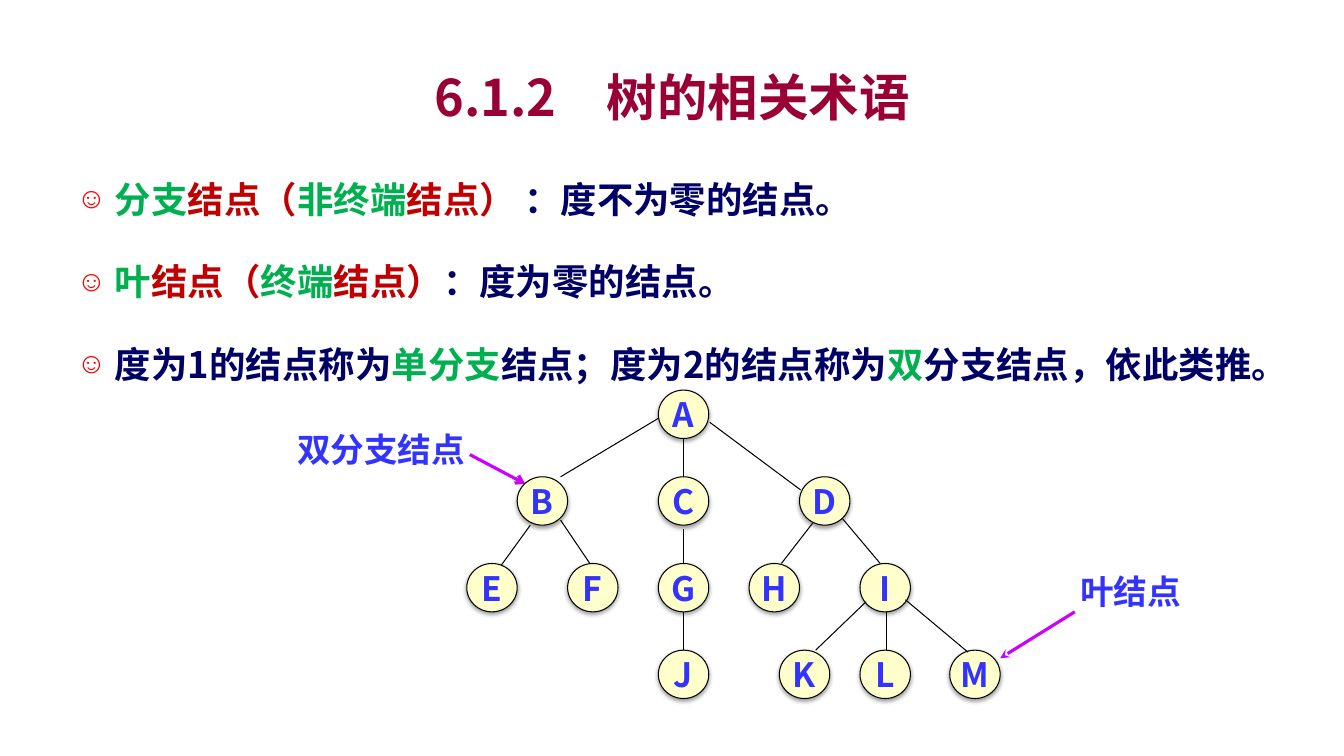
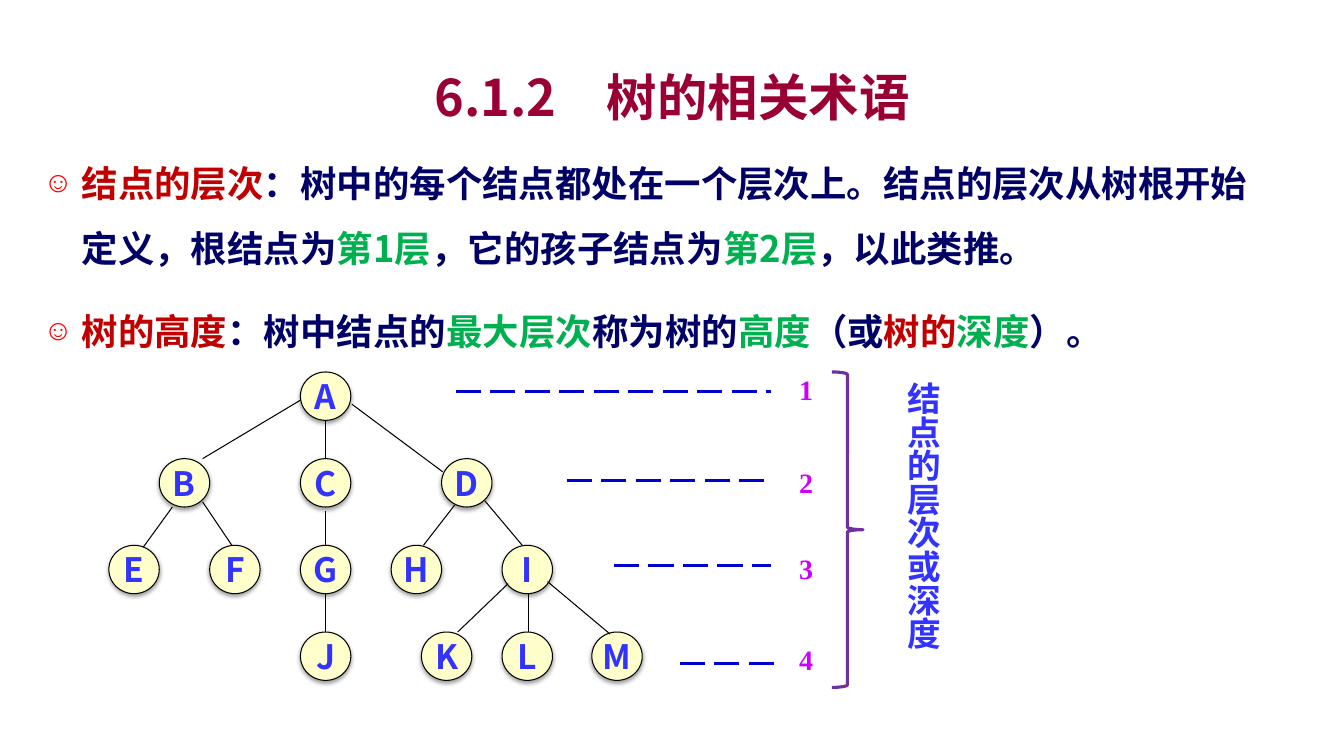
from lxml import etree
from pptx import Presentation
from pptx.dml.color import RGBColor
from pptx.enum import dml, shapes, text
from pptx.oxml import ns, parse_xml
from pptx.util import Inches, Pt

SANS, SERIF = "Noto Sans CJK SC", "Times New Roman"
GREEN, RED, NAVY, BLUE = "00B050", "C00000", "000066", "3333FF"
MAROON, MAGENTA, PURPLE = "990033", "CC00FF", "7030A0"
DASH_BLUE, CREAM, BLACK = "0000CC", "FFFFCC", "000000"
TITLE = "6.1.2　树的相关术语"

# Tree layout, measured from the root's top left corner
NODE_SIZE, ROW_STEP = (0.5, 0.48), 0.86
TREE_ROWS = [
    {"A": 0},
    {"B": -1.4, "C": 0, "D": 1.4},
    {"E": -1.9, "F": -0.9, "G": 0, "H": 0.9, "I": 2},
    {"J": 0, "K": 1.2, "L": 2, "M": 2.89},
]
TREE_EDGES = {
    "AB": (0, 0.28, -0.97, 0.86),
    "AC": (0.25, 0.48, 0.25, 0.86),
    "AD": (0.51, 0.32, 1.41, 0.99),
    "BE": (-1.27, 1.34, -1.56, 1.74),
    "BF": (-0.97, 1.29, -0.68, 1.72),
    "CG": (0.25, 1.38, 0.25, 1.72),
    "DH": (1.53, 1.32, 1.22, 1.72),
    "DI": (1.83, 1.28, 2.2, 1.72),
    "GJ": (0.25, 2.2, 0.25, 2.58),
    "IK": (2.06, 2.1, 1.56, 2.58),
    "IL": (2.26, 2.2, 2.26, 2.58),
    "IM": (2.45, 2.08, 3.07, 2.6),
}


def rgb(value):
    return RGBColor.from_string(value)


def apply(target, values):
    for name, value in values.items():
        setattr(target, name, value)


def add_xml(parent, tag, **attributes):
    return etree.SubElement(parent, ns.qn(tag), attributes)


class Slides:
    """Shared style and the slide being filled."""

    def __init__(self):
        self.deck = Presentation()
        apply(self.deck, {"slide_width": Inches(13.33), "slide_height": Inches(7.5)})
        self.page = None

    def place(self, shape, box):
        names = ("left", "top", "width", "height")
        apply(shape, {name: Inches(value) for name, value in zip(names, box)})

    def add_span(self, para, words, color, size, font=SANS):
        span = para.add_run()
        span.text = words
        apply(span.font, {"name": font, "size": Pt(size), "bold": True})
        span.font.color.rgb = rgb(color)
        add_xml(span.font._element, "a:ea", typeface=SANS)

    def outline(self, shape, color, width):
        shape.line.color.rgb = rgb(color)
        shape.line.width = Pt(width)

    def start(self, title):
        self.page = self.deck.slides.add_slide(self.deck.slide_layouts[1])
        heading = self.page.shapes.title
        self.place(heading, (1, 0.58, 11.33, 0.75))
        apply(heading.text_frame, {"auto_size": text.MSO_AUTO_SIZE.NONE,
                                   "vertical_anchor": text.MSO_ANCHOR.MIDDLE})
        para = heading.text_frame.paragraphs[0]
        para.alignment = text.PP_ALIGN.CENTER
        self.add_span(para, title, MAROON, 36)

    def bullets(self, box, items):
        body = self.page.placeholders[1]
        self.place(body, box)
        frame = body.text_frame
        frame.auto_size = text.MSO_AUTO_SIZE.NONE
        for index, item in enumerate(items):
            para = frame.add_paragraph() if index else frame.paragraphs[0]
            apply(para, {"line_spacing": 1.5, "space_before": Pt(6),
                         "space_after": Pt(6)})
            props = para._p.get_or_add_pPr()
            props.set("marL", str(Inches(0.38)))
            props.set("indent", str(-Inches(0.38)))
            add_xml(add_xml(props, "a:buClr"), "a:srgbClr", val="FF0000")
            add_xml(props, "a:buSzPct", val="80000")
            add_xml(props, "a:buChar", char="☺")
            for color, words in item:
                self.add_span(para, words, color, 26)

    def label(self, box, words, color=BLUE, size=24, font=SERIF, vertical=False):
        shape = self.page.shapes.add_textbox(*map(Inches, box))
        frame = shape.text_frame
        frame.word_wrap = True
        para = frame.paragraphs[0]
        if vertical:
            frame._txBody.bodyPr.set("vert", "eaVert")
        else:
            para.alignment = text.PP_ALIGN.CENTER
        self.add_span(para, words, color, size, font)

    def line(self, ends, color=BLACK, width=0.75, dash=None, arrow=None, parent=None):
        owner = parent or self.page
        link = owner.shapes.add_connector(
            shapes.MSO_CONNECTOR.STRAIGHT, *map(Inches, ends))
        self.outline(link, color, width)
        if dash:
            link.line.dash_style = dash
        if arrow:
            add_xml(link.line._get_or_add_ln(), "a:tailEnd", type=arrow)
        add_xml(link._element.spPr, "a:effectLst")

    def node(self, parent, left, top, name):
        circle = parent.shapes.add_shape(
            shapes.MSO_SHAPE.OVAL, *map(Inches, (left, top, *NODE_SIZE)))
        circle.fill.solid()
        circle.fill.fore_color.rgb = rgb(CREAM)
        self.outline(circle, BLACK, 0.75)
        circle._element.spPr.append(parse_xml(
            f'<a:effectLst {ns.nsdecls("a")}>'
            f'<a:outerShdw blurRad="{Pt(3.1)}" dist="{Pt(1.6)}" dir="5400000">'
            f'<a:srgbClr val="{BLACK}"><a:alpha val="38000"/></a:srgbClr>'
            '</a:outerShdw></a:effectLst>'))
        frame = circle.text_frame
        apply(frame, {"word_wrap": False, "vertical_anchor": text.MSO_ANCHOR.MIDDLE})
        frame.paragraphs[0].alignment = text.PP_ALIGN.CENTER
        self.add_span(frame.paragraphs[0], name, BLUE, 24)

    def tree(self, left, top):
        group = self.page.shapes.add_group_shape()
        for level, row in enumerate(TREE_ROWS):
            for name, offset in row.items():
                self.node(group, left + offset, top + level * ROW_STEP, name)
        for x1, y1, x2, y2 in TREE_EDGES.values():
            self.line((left + x1, top + y1, left + x2, top + y2), parent=group)

    def brace(self, box):
        shape = self.page.shapes.add_shape(
            shapes.MSO_SHAPE.RIGHT_BRACE, *map(Inches, box))
        shape.shadow.inherit = False
        shape.fill.background()
        self.outline(shape, PURPLE, 2.25)


def main():
    slides = Slides()

    # Branch and leaf nodes
    slides.start(TITLE)
    slides.bullets((0.66, 1.49, 12.26, 2.15), [
        [(GREEN, "分支"), (RED, "结点（"), (GREEN, "非终端"), (RED, "结点） "),
         (NAVY, "：度不为零的结点。")],
        [(GREEN, "叶"), (RED, "结点（"), (GREEN, "终端"), (RED, "结点）"),
         (NAVY, "：度为零的结点。")],
        [(NAVY, "度为1的结点称为"), (GREEN, "单分支"), (NAVY, "结点；度为2的结点称为"),
         (GREEN, "双"), (NAVY, "分支结点，依此类推。")],
    ])
    slides.label((2.52, 4.21, 2.52, 0.5), "双分支结点")
    slides.label((10.38, 5.61, 1.67, 0.5), "叶结点")
    slides.line((4.66, 4.51, 5.21, 4.8), MAGENTA, 2.25, arrow="arrow")
    slides.line((10.66, 6.07, 9.92, 6.53), MAGENTA, 2.25, arrow="stealth")
    slides.tree(6.53, 3.87)

    # Levels and height
    slides.start(TITLE)
    slides.bullets((0.33, 1.33, 12.33, 2.42), [
        [(RED, "结点的层次"),
         (NAVY, "：树中的每个结点都处在一个层次上。结点的层次从树根开始定义，根结点为"),
         (GREEN, "第1层"), (NAVY, "，它的孩子结点为"), (GREEN, "第2层"),
         (NAVY, "，以此类推。")],
        [(RED, "树的高度"), (NAVY, "：树中结点的"), (GREEN, "最大层次"),
         (NAVY, "称为树的"), (GREEN, "高度"), (NAVY, "（或"), (RED, "树的"),
         (GREEN, "深度"), (NAVY, "）。")],
    ])
    level_marks = [(3.65, 4.52, 7.65, 3.88), (4.57, 5.62, 7.65, 4.77),
                   (5.42, 6.09, 7.65, 5.61), (6.32, 6.74, 7.73, 6.58)]
    for level, (top, start, end, height) in enumerate(level_marks, 1):
        slides.label((7.8, top, 0.39, 0.43), str(level), MAGENTA, 20)
        slides.line((start, height, end, height), DASH_BLUE, 2.25,
                    dash=dml.MSO_LINE.LONG_DASH)
    slides.brace((8.25, 3.69, 0.31, 3.13))
    slides.label((8.79, 3.69, 0.61, 3.31), "结点的层次或深度", font=SANS, vertical=True)
    slides.tree(2.98, 3.69)

    slides.deck.save("out.pptx")


if __name__ == "__main__":
    main()
